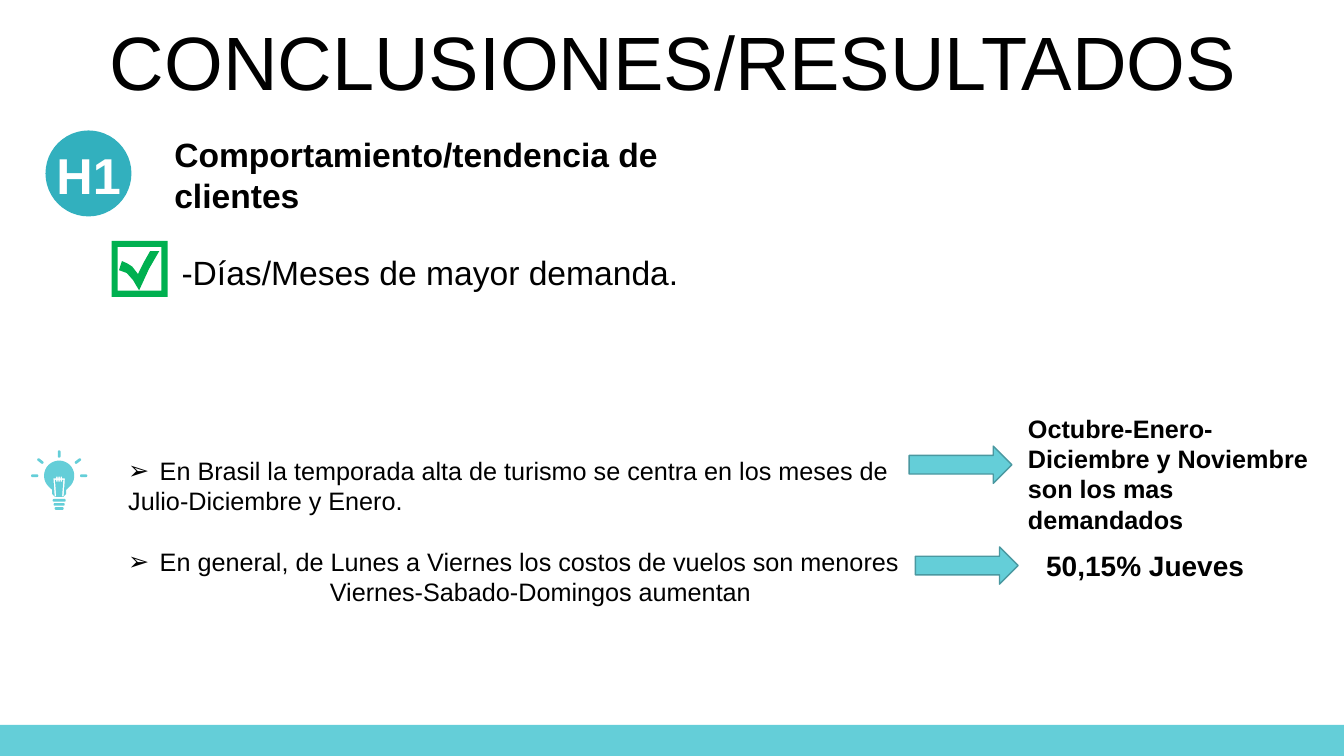
from math import cos, radians, sin

from lxml.etree import SubElement
from pptx import Presentation
from pptx.dml.color import RGBColor as RGB
from pptx.enum.shapes import MSO_SHAPE as SHP
from pptx.enum.text import MSO_ANCHOR as ANC, PP_ALIGN as AL
from pptx.oxml.ns import qn
from pptx.util import Pt

AQUA = RGB(0x64, 0xCE, 0xD8)
TEAL = RGB(0x32, 0xB0, 0xBE)
EDGE = RGB(0x4A, 0x98, 0xA0)
GREEN = RGB(0x00, 0xB0, 0x50)
BLACK = RGB(0x00, 0x00, 0x00)
WHITE = RGB(0xFF, 0xFF, 0xFF)
FONT = "Arial"

prs = Presentation()
prs.slide_width, prs.slide_height = Pt(960), Pt(540)
s = prs.slides.add_slide(prs.slide_layouts[6])


def paint(sp, fill, line=None):
    sp.shadow.inherit = False
    sp.fill.solid()
    sp.fill.fore_color.rgb = fill
    if line is None:
        sp.line.fill.background()
    else:
        sp.line.color.rgb = line
        sp.line.width = Pt(1)
    return sp


def add_text(box, paragraphs, size, bold=False, color=BLACK, inset=7.2, **para):
    tf = s.shapes.add_textbox(*map(Pt, box)).text_frame
    tf.word_wrap = True
    tf.margin_left = tf.margin_right = Pt(inset)
    leading = 1.2 if size == 18 else 1.21
    for i, text in enumerate(paragraphs):
        p = tf.paragraphs[0] if i == 0 else tf.add_paragraph()
        for name, value in ({"line_spacing": Pt(size * leading)} | para).items():
            setattr(p, name, value)
        r = p.add_run()
        r.text = text
        for name, value in {"name": FONT, "size": Pt(size), "bold": bold}.items():
            setattr(r.font, name, value)
        r.font.color.rgb = color
    return tf


paint(s.shapes.add_shape(SHP.RECTANGLE, 0, Pt(517.7), Pt(960), Pt(22.3)), AQUA)

tf = add_text((25.2, 18.5, 911.5, 56.9), ["CONCLUSIONES/RESULTADOS"], 54,
              alignment=AL.CENTER, line_spacing=0.9, space_before=Pt(10))
tf.vertical_anchor = ANC.MIDDLE

add_text((122.6, 176.4, 396.7, 36.3), ["-Días/Meses de mayor demanda."], 24)
add_text((115.9, 92.2, 403.2, 65.5), ["Comportamiento/tendencia de clientes"],
         24, bold=True, inset=8.64)

paint(s.shapes.add_shape(SHP.OVAL, Pt(32.5), Pt(93.2), Pt(61.4), Pt(61.4)), TEAL)
add_text((25.5, 98.8, 75.6, 51.1), ["H1"], 36, bold=True, color=WHITE,
         inset=8.64, alignment=AL.CENTER)

sp = paint(s.shapes.add_shape(SHP.FRAME, Pt(79.7), Pt(172), Pt(40), Pt(40)), GREEN)
sp.adjustments[0] = 0.11

tick = [(85, 193), (87.1, 186.5), (91, 188.2), (94.5, 190.5), (98.6, 195.8),
        (102.5, 187.8), (107.3, 179.3), (113.8, 179.3), (106.5, 192), (99.4, 207.4),
        (95, 200), (90.5, 195)]

cx, cy, radius = 42.3, 339.8, 10.8
dome = [(radius * cos(radians(a)), radius * sin(radians(a))) for a in range(135, 406, 10)]
neck = [(5, 10.1), (5, 13), (3, 15.2), (-3, 15.2), (-5, 13), (-5, 10.1)]
half_wire = [(0.5, 0.7), (0.5, 1.9), (1.1, 1.9), (1.1, 0.7), (2.1, 0.7), (2.1, 1.9),
             (4.1, 1.9), (3.2, 14.7), (2.1, 14.7), (3, 2.9), (2.1, 2.9), (2.1, 4.3),
             (1.1, 4.3), (1.1, 2.9), (0.5, 2.9), (0.5, 4.3)]
filament = [(-x, y) for x, y in half_wire] + half_wire[::-1]
bulb = [dome + neck, filament]

rays = [(d * cos(radians(a)), d * sin(radians(a)), 5.2, radians(a))
        for a, d in ((180, 17.5), (218, 17), (270, 15.5), (322, 17), (0, 17.5))]
base = [(0, 17.6 + 2.9 * i, w, 0) for i, w in enumerate((9.4, 8, 6.5))]
for x, y, w, a in rays + base:
    capsule = []
    for t in range(-75, 285, 30):
        u, v = cos(radians(t)), sin(radians(t))
        u += w / 2 - 1 if u > 0 else 1 - w / 2
        capsule.append((x + u * cos(a) - v * sin(a), y + u * sin(a) + v * cos(a)))
    bulb.append(capsule)
bulb = [[(cx + x, cy + y) for x, y in c] for c in bulb]

for contours, color in (([tick], GREEN), (bulb, AQUA)):
    pts = [[(x * 100, y * 100) for x, y in c] for c in contours]
    fb = s.shapes.build_freeform(*pts[0][0], scale=127)
    for i, c in enumerate(pts):
        if i:
            fb.move_to(*c[0])
        fb.add_line_segments(c[1:], close=True)
    paint(fb.convert_to_shape(), color)

tf = add_text((84.5, 321.8, 570.2, 138.2), [
    "En Brasil la temporada alta de turismo se centra en los meses de",
    "Julio-Diciembre y Enero.",
    "En general, de Lunes a Viernes los costos de vuelos son menores",
    "Viernes-Sabado-Domingos aumentan",
], 18)
tf.paragraphs[2].space_before = Pt(21.6)
for i in (0, 2):
    pPr = tf.paragraphs[i]._p.get_or_add_pPr()
    pPr.set("marL", str(Pt(22.5)))
    pPr.set("indent", str(-Pt(22.5)))
    SubElement(pPr, qn("a:buFont")).set("typeface", FONT)
    SubElement(pPr, qn("a:buChar")).set("char", "➢")
tf.paragraphs[3]._p.get_or_add_pPr().set("marL", str(Pt(144)))

add_text((727.2, 291.6, 230.4, 94.3),
         ["Octubre-Enero-Diciembre y Noviembre son los mas demandados"], 18, bold=True)
add_text((740.2, 388.1, 163.4, 31.7), ["50,15% Jueves"], 20, bold=True)

for x, y in ((649.4, 318.7), (653.8, 390.7)):
    paint(s.shapes.add_shape(SHP.RIGHT_ARROW, Pt(x), Pt(y), Pt(73.4), Pt(26.6)), AQUA, EDGE)

prs.save("out.pptx")
